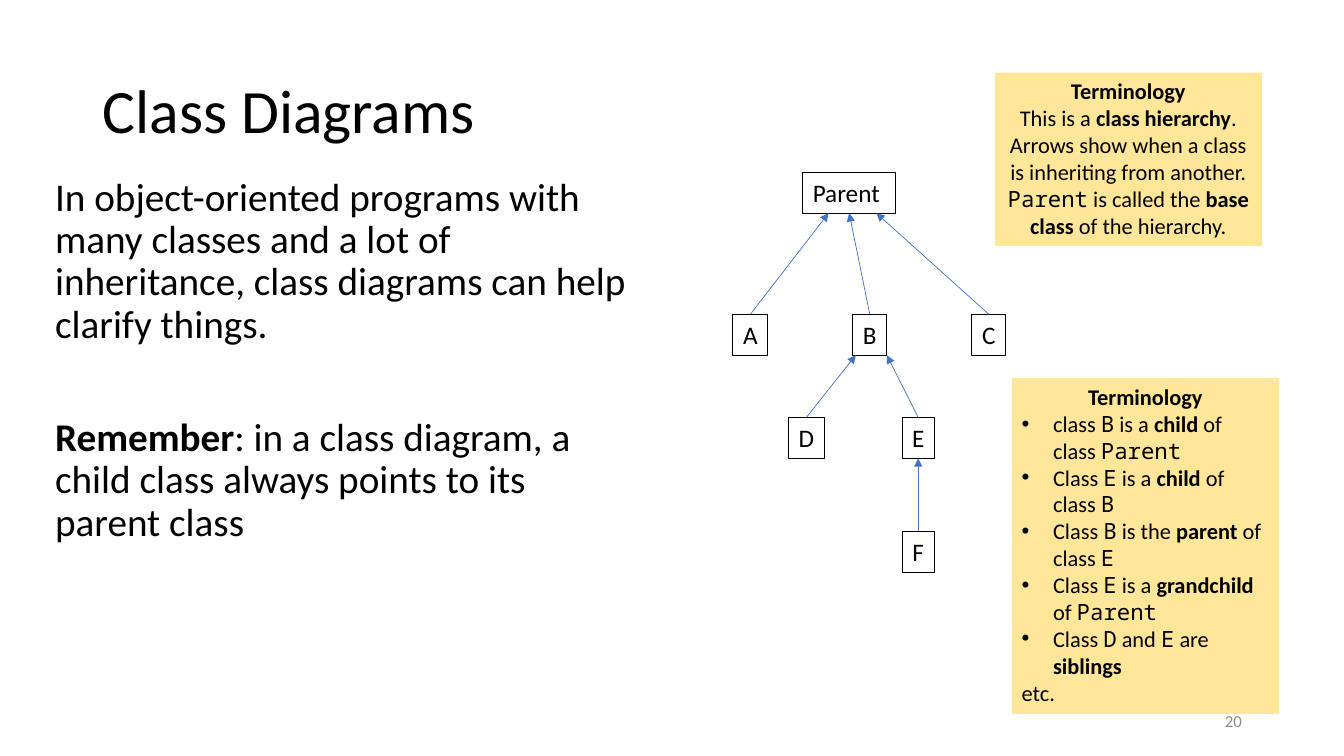
from lxml import etree
from pptx import Presentation
from pptx.dml.color import RGBColor
from pptx.enum.shapes import MSO_CONNECTOR
from pptx.enum.text import MSO_ANCHOR, MSO_AUTO_SIZE, PP_ALIGN
from pptx.oxml.ns import qn
from pptx.util import Cm, Pt

LEFT, CENTER, RIGHT = PP_ALIGN.LEFT, PP_ALIGN.CENTER, PP_ALIGN.RIGHT
TOP, MIDDLE = MSO_ANCHOR.TOP, MSO_ANCHOR.MIDDLE
FIT_SHAPE = MSO_AUTO_SIZE.SHAPE_TO_FIT_TEXT
STRAIGHT = MSO_CONNECTOR.STRAIGHT

SANS, MONO = "Calibri", "Noto Sans Mono"
BLACK, GRAY, BLUE, YELLOW = "000000", "8C8C8C", "4472C4", "FFE699"

BODY = [
    "In object-oriented programs with many classes and a lot of inheritance, "
    "class diagrams can help clarify things.",
    "*Remember*: in a class diagram, a child class always points to its parent class",
]
HIERARCHY_NOTE = [
    "*Terminology*",
    "This is a *class hierarchy*.",
    "Arrows show when a class is inheriting from another.",
    "`Parent` is called the *base class* of the hierarchy.",
]
# Lines that start with "•" are bulleted
RELATIONS_NOTE = [
    "*Terminology*",
    "•class `B` is a *child* of class `Parent`",
    "•Class `E` is a *child* of class `B`",
    "•Class `B` is the *parent* of class `E`",
    "•Class `E` is a *grandchild* of `Parent`",
    "•Class `D` and `E` are *siblings*",
    "etc.",
]

# Class: (label, centre x, top, width) in cm within the diagram
CLASSES = {
    "Parent": ("Parent ", 2.93, 0, 2.36),
    "A": ("A", 0.44, 3.58, 0.89),
    "B": ("B", 3.45, 3.58, 0.86),
    "C": ("C", 6.45, 3.58, 0.86),
    "D": ("D", 1.85, 6.18, 0.91),
    "E": ("E", 4.67, 6.18, 0.81),
    "F": ("F", 4.67, 9.05, 0.81),
}
CLASS_HEIGHT = 1.03
# Child, parent, and where along the parent's bottom side the arrow lands
INHERITANCE = [
    ("A", "Parent", 0.28), ("B", "Parent", 0.5), ("C", "Parent", 0.79),
    ("D", "B", 0.09), ("E", "B", 1), ("F", "E", 0.5),
]


def color(hex_code):
    return RGBColor.from_string(hex_code)


def split_marks(text):
    """Yield (piece, bold, mono): *bold* and `mono` parts of the text."""
    for i, bold_part in enumerate(text.split("*")):
        for j, piece in enumerate(bold_part.split("`")):
            if piece:
                yield piece, i % 2 == 1, j % 2 == 1


def add_bullet(paragraph):
    properties = paragraph._p.get_or_add_pPr()
    properties.set("marL", str(Cm(0.79)))
    properties.set("indent", str(-Cm(0.79)))
    etree.SubElement(properties, qn("a:buFont")).set("typeface", "Arial")
    etree.SubElement(properties, qn("a:buChar")).set("char", "•")


def add_text(slide, box, lines, size, hex_code=BLACK, align=LEFT, anchor=TOP):
    text_box = slide.shapes.add_textbox(*(Cm(length) for length in box))
    frame = text_box.text_frame
    frame.word_wrap = True
    frame.vertical_anchor = anchor
    for index, line in enumerate(lines):
        paragraph = frame.paragraphs[0] if index == 0 else frame.add_paragraph()
        paragraph.alignment = align
        if line.startswith("•"):
            add_bullet(paragraph)
        for piece, bold, mono in split_marks(line.lstrip("•")):
            run = paragraph.add_run()
            run.text = piece
            run.font.size = Pt(size)
            run.font.bold = bold
            run.font.name = MONO if mono else SANS
            run.font.color.rgb = color(hex_code)
    return text_box


def add_title(slide, box, title):
    heading = add_text(slide, box, [title], 44, anchor=MIDDLE)
    heading.text_frame.paragraphs[0].line_spacing = 0.9


def add_body(slide, box, lines):
    body = add_text(slide, box, lines, 28)
    for index, paragraph in enumerate(body.text_frame.paragraphs):
        paragraph.line_spacing = 0.9
        if index:
            paragraph.space_before = Pt(50.8)


def add_note(slide, box, lines, align):
    note = add_text(slide, box, lines, 16, align=align)
    note.fill.solid()
    note.fill.fore_color.rgb = color(YELLOW)
    note.text_frame.auto_size = FIT_SHAPE
    note.text_frame.paragraphs[0].alignment = CENTER


def add_class_box(slide, box, label):
    class_box = add_text(slide, box, [label], 18, align=CENTER)
    class_box.line.color.rgb = color(BLACK)
    class_box.line.width = Pt(0.75)
    class_box.text_frame.word_wrap = False
    class_box.text_frame.auto_size = FIT_SHAPE
    return class_box


def add_inheritance(slide, child, parent, landing):
    arrow = slide.shapes.add_connector(
        STRAIGHT, child.left + child.width // 2, child.top,
        parent.left + int(parent.width * landing), parent.top + parent.height)
    arrow.begin_connect(child, 0)
    if landing == 0.5:
        arrow.end_connect(parent, 2)
    arrow.line.color.rgb = color(BLUE)
    arrow.line.width = Pt(0.5)
    etree.SubElement(arrow.line._get_or_add_ln(), qn("a:tailEnd")).set("type", "triangle")
    etree.SubElement(arrow._element.spPr, qn("a:effectLst"))


def add_class_diagram(slide, left, top):
    boxes = {}
    for name, (label, center, offset, width) in CLASSES.items():
        box = (left + center - width / 2, top + offset, width, CLASS_HEIGHT)
        boxes[name] = add_class_box(slide, box, label)
    for child, parent, landing in INHERITANCE:
        add_inheritance(slide, boxes[child], boxes[parent], landing)


def main():
    deck = Presentation()
    deck.slide_width, deck.slide_height = Cm(33.87), Cm(19.05)
    slide = deck.slides.add_slide(deck.slide_layouts[6])

    # Left half: title and explanation
    add_title(slide, (2.34, 1.02, 13.82, 3.68), "Class Diagrams")
    add_text(slide, (23.93, 17.65, 7.62, 1.02), ["20"], 12, GRAY, RIGHT, MIDDLE)
    add_body(slide, (1.14, 4.34, 14.99, 12.09), BODY)

    # Right half: diagram and terminology notes
    add_note(slide, (25.07, 1.83, 6.73, 4.37), HIERARCHY_NOTE, CENTER)
    add_class_diagram(slide, 18.47, 4.34)
    add_note(slide, (25.5, 9.53, 6.73, 8.46), RELATIONS_NOTE, LEFT)

    deck.save("out.pptx")


if __name__ == "__main__":
    main()
